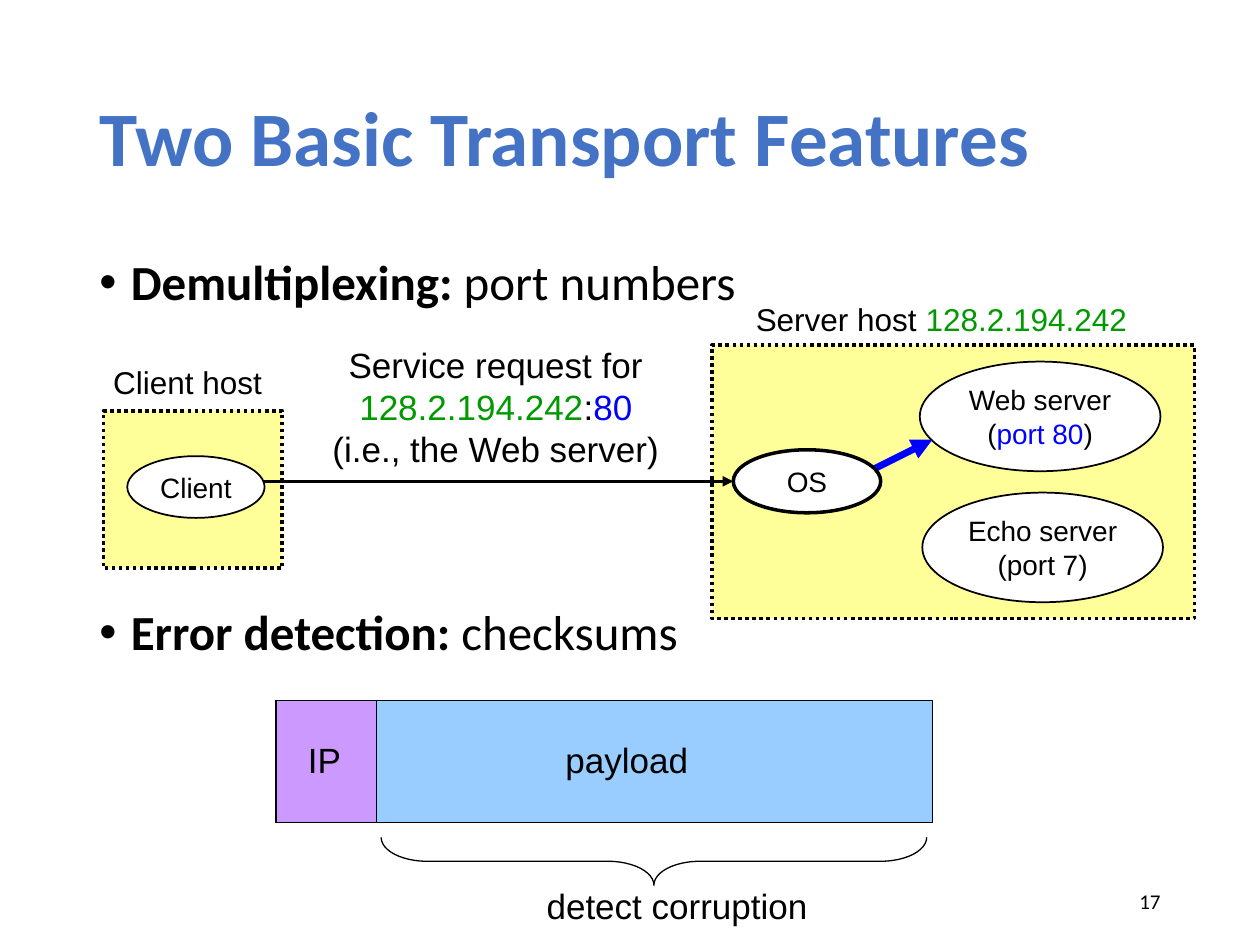
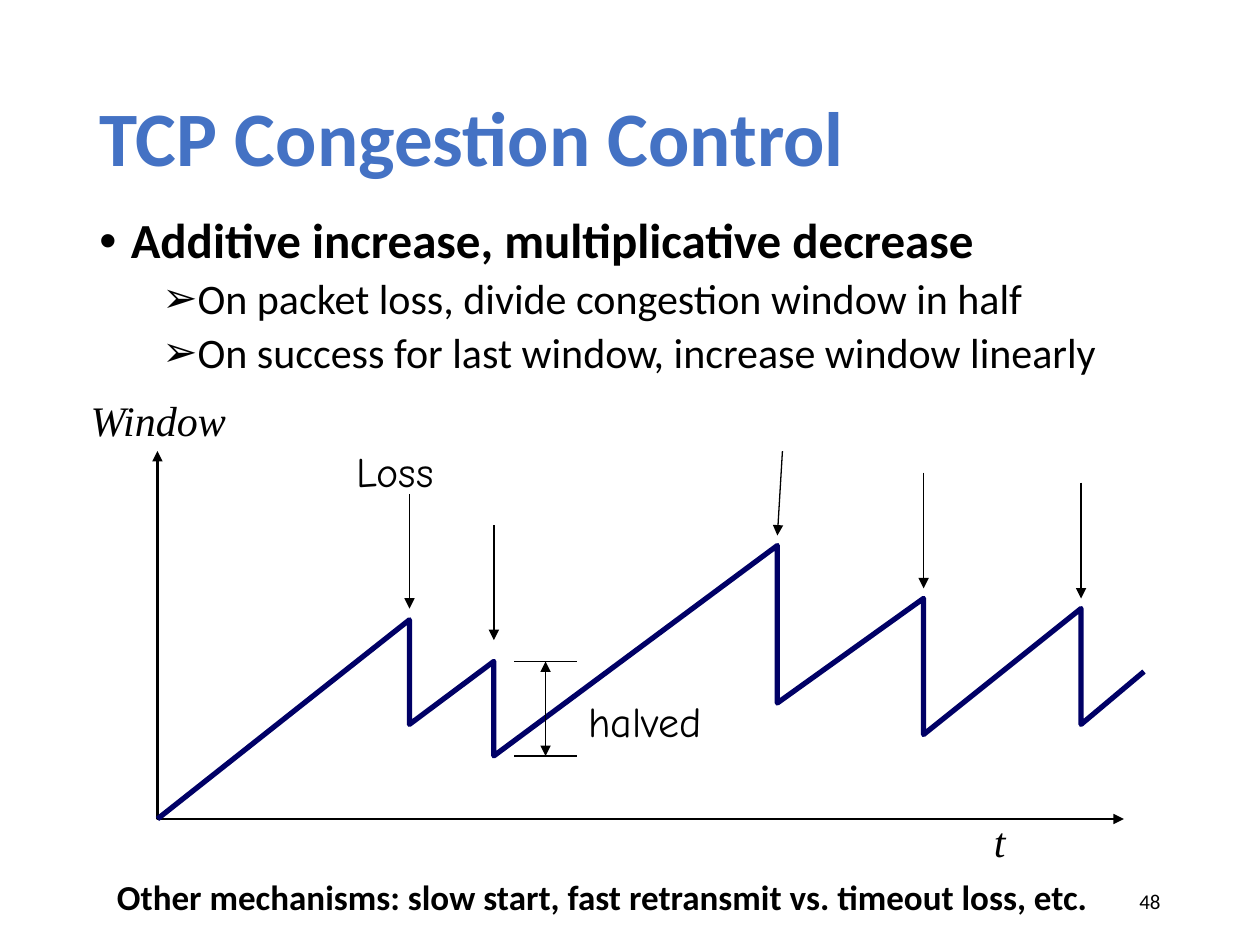
"""Build two slides on transport features and TCP congestion control."""
from dataclasses import dataclass, field
from typing import Any, NamedTuple

from lxml import etree
from pptx import Presentation
from pptx.dml.color import RGBColor
from pptx.enum.dml import MSO_LINE
from pptx.enum.shapes import MSO_CONNECTOR, MSO_SHAPE
from pptx.enum.text import MSO_ANCHOR, MSO_AUTO_SIZE, PP_ALIGN
from pptx.oxml.ns import qn
from pptx.util import Inches, Pt

RECTANGLE, ELLIPSE, BRACE = MSO_SHAPE.RECTANGLE, MSO_SHAPE.OVAL, MSO_SHAPE.LEFT_BRACE
STRAIGHT, DOTTED = MSO_CONNECTOR.STRAIGHT, MSO_LINE.ROUND_DOT
LEFT, CENTER, RIGHT = PP_ALIGN.LEFT, PP_ALIGN.CENTER, PP_ALIGN.RIGHT
TOP, MIDDLE = MSO_ANCHOR.TOP, MSO_ANCHOR.MIDDLE
NO_AUTOFIT = MSO_AUTO_SIZE.NONE

BLACK, WHITE, TITLE_BLUE = "000000", "FFFFFF", "4472C4"
ADDRESS_GREEN, PORT_BLUE, WINDOW_NAVY = "009900", "0000FF", "000066"
HOST_YELLOW, HEADER_PURPLE, PAYLOAD_BLUE = "FFFF99", "CC99FF", "99CCFF"
HEADING_FONT, DIAGRAM_FONT = "Calibri", "Arial"
AXIS_FONT, NOTE_FONT = "Times New Roman", "Comic Neue"


class Box(NamedTuple):
    """Left, top, width and height in inches."""
    left: float
    top: float
    width: float
    height: float


class Point(NamedTuple):
    """A position on the slide in inches."""
    x: float
    y: float


class Run(NamedTuple):
    """A stretch of text with its own colour and weight."""
    text: str
    color: str = BLACK
    bold: bool = False


class Bullet(NamedTuple):
    """A bulleted line: its runs, sign, indent, size and space before."""
    runs: list[Run]
    sign: str = "•"
    indent: float = 0.25
    size: float = 28
    before: float = 10


@dataclass
class Label:
    """Text lines with one font and alignment."""
    box: Box
    lines: list[list[Run]]
    size: float
    font: str = DIAGRAM_FONT
    align: PP_ALIGN = LEFT
    anchor: MSO_ANCHOR = TOP
    wrap: bool = False
    italic: bool = False


@dataclass
class Figure:
    """A preset shape, with text lines inside it if any."""
    kind: MSO_SHAPE
    box: Box
    fill: str | None = WHITE
    weight: float = 1
    dash: MSO_LINE | None = None
    lines: list[list[Run]] = field(default_factory=list)


@dataclass
class Segment:
    """A straight line with optional arrowheads."""
    start: Point
    end: Point
    weight: float = 0.75
    color: str = BLACK
    heads: tuple[str, ...] = ("tailEnd",)


TITLE_BOX = Box(0.69, 0.4, 8.62, 1.45)
NUMBER_BOX = Box(7.06, 6.95, 2.25, 0.4)
BOTH_ENDS = ("headEnd", "tailEnd")


def rgb(color: str) -> RGBColor:
    """Turn a hex string into a colour."""
    return RGBColor.from_string(color)


def assign(target: Any, formats: dict[str, Any]) -> None:
    """Set every format value on the target."""
    for name, value in formats.items():
        setattr(target, name, value)


def inches(values: tuple[float, ...]) -> list[Inches]:
    """Convert a tuple of inch values to lengths."""
    return [Inches(value) for value in values]


def add_runs(paragraph: Any, runs: list[Run], size: float, font: str,
             italic: bool = False) -> None:
    """Write the runs into a paragraph."""
    for part in runs:
        run = paragraph.add_run()
        run.text = part.text
        assign(run.font, {"size": Pt(size), "name": font,
                          "bold": part.bold, "italic": italic})
        run.font.color.rgb = rgb(part.color)


def write_lines(frame: Any, label: Label) -> None:
    """Fill a text frame with the lines of a label."""
    assign(frame, {"auto_size": NO_AUTOFIT, "word_wrap": label.wrap,
                   "vertical_anchor": label.anchor})
    for index, runs in enumerate(label.lines):
        paragraph = frame.add_paragraph() if index else frame.paragraphs[0]
        paragraph.alignment = label.align
        add_runs(paragraph, runs, label.size, label.font, label.italic)


def draw_label(slide: Any, label: Label) -> Any:
    """Add a label as a text box."""
    textbox = slide.shapes.add_textbox(*inches(label.box))
    write_lines(textbox.text_frame, label)
    return textbox


def draw_bullets(slide: Any, box: Box, bullets: list[Bullet]) -> None:
    """Add the body text with hanging bullets."""
    frame = slide.shapes.add_textbox(*inches(box)).text_frame
    frame.word_wrap = True
    for index, bullet in enumerate(bullets):
        paragraph = frame.add_paragraph() if index else frame.paragraphs[0]
        assign(paragraph, {"line_spacing": 0.9, "space_before": Pt(bullet.before)})
        add_runs(paragraph, bullet.runs, bullet.size, HEADING_FONT)
        properties = paragraph._p.get_or_add_pPr()
        properties.set("marL", str(Inches(bullet.indent)))
        properties.set("indent", str(Inches(-0.25)))
        etree.SubElement(properties, qn("a:buFont"), typeface="Arial")
        etree.SubElement(properties, qn("a:buChar"), char=bullet.sign)


def set_stroke(shape: Any, color: str, weight: float, heads: tuple[str, ...] = ()) -> None:
    """Colour an outline and put arrowheads on it."""
    shape.line.color.rgb = rgb(color)
    shape.line.width = Pt(weight)
    outline = shape.element.spPr.find(qn("a:ln"))
    for head in heads:
        etree.SubElement(outline, qn(f"a:{head}"), type="triangle")


def draw_figure(slide: Any, figure: Figure) -> Any:
    """Add a preset shape."""
    shape = slide.shapes.add_shape(figure.kind, *inches(figure.box))
    shape.shadow.inherit = False
    if figure.fill:
        shape.fill.solid()
        shape.fill.fore_color.rgb = rgb(figure.fill)
    else:
        shape.fill.background()
    set_stroke(shape, BLACK, figure.weight)
    if figure.dash:
        shape.line.dash_style = figure.dash
    if figure.lines:
        write_lines(shape.text_frame, Label(figure.box, figure.lines, 16,
                                            align=CENTER, anchor=MIDDLE))
    return shape


def draw_segment(slide: Any, segment: Segment) -> None:
    """Add a straight connector."""
    connector = slide.shapes.add_connector(
        STRAIGHT, *inches(segment.start), *inches(segment.end))
    set_stroke(connector, segment.color, segment.weight, segment.heads)
    etree.SubElement(connector.element.spPr, qn("a:effectLst"))


def draw_polyline(slide: Any, points: list[Point], color: str, weight: float,
                  heads: tuple[str, ...] = ()) -> None:
    """Add an open outline through the points."""
    builder = slide.shapes.build_freeform(*inches(points[0]))
    builder.add_line_segments([tuple(inches(point)) for point in points[1:]], close=False)
    shape = builder.convert_to_shape()
    shape.shadow.inherit = False
    shape.fill.background()
    set_stroke(shape, color, weight, heads)


def start_slide(deck: Any, title: str, number: int) -> Any:
    """Add a blank slide with its title and number."""
    slide = deck.slides.add_slide(deck.slide_layouts[6])
    heading = draw_label(slide, Label(TITLE_BOX, [[Run(title, TITLE_BLUE, True)]], 44,
                                      HEADING_FONT, anchor=MIDDLE, wrap=True))
    heading.text_frame.paragraphs[0].line_spacing = 0.9
    draw_label(slide, Label(NUMBER_BOX, [[Run(str(number))]], 12, HEADING_FONT,
                            RIGHT, MIDDLE, True))
    return slide


def build_features(deck: Any) -> None:
    """Draw demultiplexing by port and error detection by checksum."""
    slide = start_slide(deck, "Two Basic Transport Features", 17)
    draw_bullets(slide, Box(0.69, 2, 8.62, 4.76), [
        Bullet([Run("Demultiplexing: ", bold=True), Run("port numbers")]),
        Bullet([Run("Error detection: ", bold=True), Run("checksums")], before=170)])

    for host in (Box(0.82, 3.26, 1.42, 1.25), Box(5.65, 2.74, 3.83, 2.17)):
        draw_figure(slide, Figure(RECTANGLE, host, HOST_YELLOW, 2, DOTTED))
    web_lines = [[Run("Web server")], [Run("("), Run("port 80", PORT_BLUE), Run(")")]]
    echo_lines = [[Run("Echo server")], [Run("(port 7)")]]
    draw_figure(slide, Figure(ELLIPSE, Box(7.3, 2.87, 1.91, 0.87), lines=web_lines))
    draw_figure(slide, Figure(ELLIPSE, Box(7.32, 3.91, 1.91, 0.87), lines=echo_lines))
    draw_segment(slide, Segment(Point(2.07, 3.82), Point(5.82, 3.82), 2))
    draw_segment(slide, Segment(Point(6.9, 3.74), Point(7.4, 3.49), 4, PORT_BLUE))
    draw_figure(slide, Figure(ELLIPSE, Box(5.82, 3.57, 1.17, 0.5), weight=2,
                              lines=[[Run("OS")]]))
    draw_figure(slide, Figure(ELLIPSE, Box(1.01, 3.62, 1.09, 0.49),
                              lines=[[Run("Client")]]))

    for width, fill in ((5.21, PAYLOAD_BLUE), (0.8, HEADER_PURPLE)):
        draw_figure(slide, Figure(RECTANGLE, Box(2.19, 5.56, width, 0.97), fill, 0.75))
    brace = draw_figure(slide, Figure(BRACE, Box(5, 4.67, 0.38, 4.33), None, 0.75))
    brace.rotation = 270
    brace.adjustments[0] = 0.96

    address = Run("128.2.194.242", ADDRESS_GREEN)
    request = [[Run("Service request for")], [address, Run(":"), Run("80", PORT_BLUE)],
               [Run("(i.e., the Web server)")]]
    for label in (
        Label(Box(0.8, 2.83, 1.49, 0.4), [[Run("Client host")]], 18),
        Label(Box(5.9, 2.33, 3.24, 0.4), [[Run("Server host "), address]], 18),
        Label(Box(2.33, 2.68, 3.21, 1.1), request, 20, align=CENTER, wrap=True),
        Label(Box(2.31, 5.81, 0.53, 0.43), [[Run("IP")]], 20, align=CENTER),
        Label(Box(4.29, 5.81, 1.37, 0.43), [[Run("payload")]], 20, align=CENTER),
        Label(Box(3.86, 6.97, 3.03, 0.43), [[Run("detect corruption")]], 20, align=CENTER),
    ):
        draw_label(slide, label)


def build_congestion(deck: Any) -> None:
    """Draw the sawtooth of the congestion window over time."""
    slide = start_slide(deck, "TCP Congestion Control", 48)
    draw_bullets(slide, Box(0.69, 1.67, 8.62, 4.76), [
        Bullet([Run("Additive increase, multiplicative decrease", bold=True)]),
        *(Bullet([Run(rule)], "➢", 0.75, 24, 5) for rule in (
            "On packet loss, divide congestion window in half",
            "On success for last window, increase window linearly"))])

    origin = Point(1.25, 6.5)
    draw_polyline(slide, [Point(origin.x, 3.58), origin, Point(8.92, origin.y)],
                  BLACK, 1.5, BOTH_ENDS)
    drops = [(3.25, 4.92, 5.75), (3.92, 5.25, 6), (6.17, 4.33, 5.58),
             (7.33, 4.75, 5.83), (8.58, 4.83, 5.75)]
    sawtooth = [Point(x, y) for x, peak, trough in drops for y in (peak, trough)]
    draw_polyline(slide, [origin, *sawtooth, Point(9.08, 5.33)], WINDOW_NAVY, 3)

    _, halving_top, halving_bottom = drops[1]
    for level in (halving_bottom, halving_top):
        draw_segment(slide, Segment(Point(4.08, level), Point(4.58, level), heads=()))
    draw_segment(slide, Segment(Point(4.33, halving_top), Point(4.33, halving_bottom),
                                heads=BOTH_ENDS))
    losses = [(3.25, 3.92, 4.83), (3.92, 4.17, 5.08), (6.21, 3.58, 4.25),
              (7.33, 3.75, 4.67), (8.58, 3.83, 4.75)]
    for (start_x, start_y, tip_y), (drop_x, _, _) in zip(losses, drops):
        draw_segment(slide, Segment(Point(start_x, start_y), Point(drop_x, tip_y)))

    closing = "Other mechanisms: slow start, fast retransmit vs. timeout loss, etc."
    for label in (
        Label(Box(7.79, 6.42, 0.29, 0.5), [[Run("t")]], 24, AXIS_FONT, italic=True),
        Label(Box(0.62, 3.08, 1.29, 0.5), [[Run("Window")]], 24, AXIS_FONT, italic=True),
        Label(Box(4.57, 5.47, 1.2, 0.5), [[Run("halved")]], 24, NOTE_FONT),
        Label(Box(2.73, 3.49, 0.88, 0.5), [[Run("Loss")]], 24, NOTE_FONT),
        Label(Box(0.83, 6.9, 8.08, 0.44), [[Run(closing, bold=True)]], 20,
              HEADING_FONT, wrap=True),
    ):
        draw_label(slide, label)


def main() -> None:
    """Build and save the presentation."""
    deck = Presentation()
    assign(deck, {"slide_width": Inches(10), "slide_height": Inches(7.5)})
    build_features(deck)
    build_congestion(deck)
    deck.save("out.pptx")


if __name__ == "__main__":
    main()
